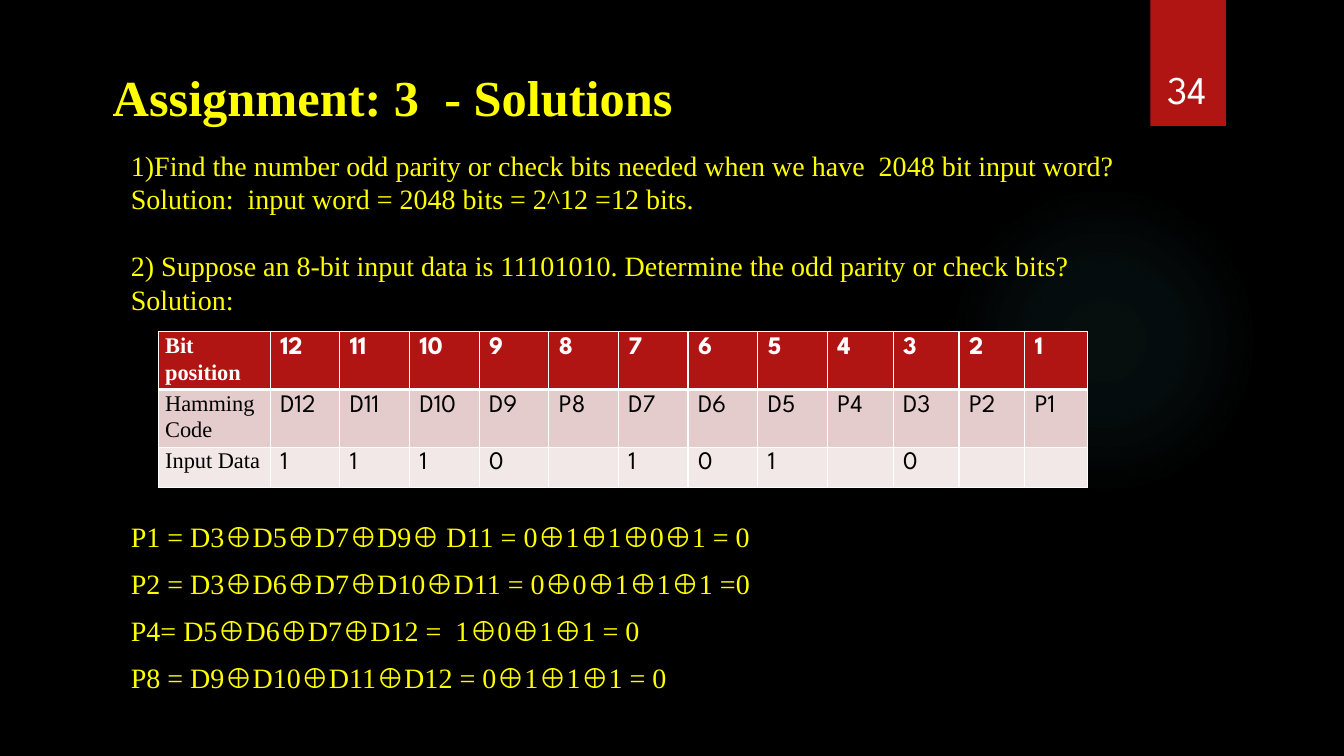
"""Builds the slide with the solutions to the parity bit assignment."""
import dataclasses

import pptx
import pptx.dml.color
import pptx.enum.shapes
import pptx.enum.text
import pptx.oxml
import pptx.oxml.ns
import pptx.util

Pt = pptx.util.Pt
ALIGN = pptx.enum.text.PP_ALIGN
ANCHOR = pptx.enum.text.MSO_ANCHOR
SHAPES = pptx.enum.shapes.MSO_SHAPE


@dataclasses.dataclass(frozen=True)
class Theme:
    """Colours, fonts and type sizes of the deck."""
    backdrop: str = "000000"
    accent: str = "B01513"
    glow: str = "50B9C1"
    bright: str = "FFFF00"
    light: str = "FFFFFF"
    dark: str = "000000"
    bands: tuple = ("B01513", "E4CCCC", "F2E8E7")
    serif: str = "Times New Roman"
    sans: str = "League Spartan"
    title: int = 36
    number: int = 28
    body: int = 20
    cell: int = 18
    label: int = 16


def rgb(value):
    """Turn a hex string into a colour."""
    return pptx.dml.color.RGBColor.from_string(value)


def set_values(target, values):
    """Set each named attribute on the target."""
    for name, value in values.items():
        setattr(target, name, value)


class SlideBuilder:
    """Holds the theme and the current page and draws elements on it."""

    def __init__(self, page, theme):
        """Keep the page and theme and paint the background."""
        self.page, self.theme = page, theme
        page.background.fill.solid()
        page.background.fill.fore_color.rgb = rgb(theme.backdrop)

    def shape(self, kind, place, color):
        """Draw a filled preset shape without an outline."""
        shape = self.page.shapes.add_shape(kind, *map(Pt, place))
        shape.shadow.inherit = False
        shape.line.fill.background()
        shape.fill.solid()
        shape.fill.fore_color.rgb = rgb(color)
        return shape

    def glow(self, place, stops):
        """Draw a circle that fades out from its centre."""
        circle = self.shape(SHAPES.OVAL, place, self.theme.glow)
        marks = "".join(
            f'<a:gs pos="{position * 1000}"><a:srgbClr val="{self.theme.glow}">'
            f'<a:alpha val="{alpha * 1000}"/></a:srgbClr></a:gs>'
            for position, alpha in stops)
        gradient = pptx.oxml.parse_xml(
            f'<a:gradFill {pptx.oxml.ns.nsdecls("a")}><a:gsLst>{marks}</a:gsLst>'
            '<a:path path="circle"><a:fillToRect l="50000" t="50000" r="50000" b="50000"/>'
            '</a:path></a:gradFill>')
        properties = circle.element.spPr
        solid = properties.find(pptx.oxml.ns.qn("a:solidFill"))
        properties.replace(solid, gradient)

    def span(self, para, text, font, size, color, bold=False, **layout):
        """Add one formatted span to a paragraph."""
        set_values(para, layout)
        span = para.add_run()
        span.text = text
        set_values(span.font, {"name": font, "size": Pt(size), "bold": bold})
        span.font.color.rgb = rgb(color)

    def text(self, place, lines, anchor=ANCHOR.TOP, **style):
        """Draw a text box from pairs of text and paragraph layout."""
        box = self.page.shapes.add_textbox(*map(Pt, place))
        frame = box.text_frame
        set_values(frame, {"word_wrap": True, "vertical_anchor": anchor})
        for index, (line, layout) in enumerate(lines):
            para = frame.add_paragraph() if index else frame.paragraphs[0]
            self.span(para, line, **style, **layout)

    def borders(self, cell, widths):
        """Give a cell light borders of the stated widths."""
        properties = cell._tc.get_or_add_tcPr()
        for index, (side, width) in enumerate(widths.items()):
            properties.insert(index, pptx.oxml.parse_xml(
                f'<a:ln{side} {pptx.oxml.ns.nsdecls("a")} w="{Pt(width)}"><a:solidFill>'
                f'<a:srgbClr val="{self.theme.light}"/></a:solidFill></a:ln{side}>'))

    def table(self, place, rows, widths, heights):
        """Draw a table with a header row and a label column."""
        theme = self.theme
        grid = self.page.shapes.add_table(len(rows), len(widths), *map(Pt, place)).table
        for column, width in zip(grid.columns, widths):
            column.width = Pt(width)
        for r, (row, height) in enumerate(zip(rows, heights)):
            grid.rows[r].height = Pt(height)
            header = r == 0
            color = theme.light if header else theme.dark
            for c, value in enumerate(row):
                cell = grid.cell(r, c)
                cell.fill.solid()
                cell.fill.fore_color.rgb = rgb(theme.bands[r])
                self.borders(cell, {"L": 1, "R": 1, "T": 3 if r == 1 else 1,
                                    "B": 3 if header else 1})
                font, size, layout = theme.sans, theme.cell, {}
                if c == 0:
                    font, size, layout = theme.serif, theme.label, {"line_spacing": 1.07}
                    set_values(cell, {"margin_left": Pt(5), "margin_right": Pt(5),
                                      "margin_top": 0, "margin_bottom": 0})
                for index, line in enumerate(value.split("\n") if value else []):
                    frame = cell.text_frame
                    para = frame.add_paragraph() if index else frame.paragraphs[0]
                    self.span(para, line, font, size, color, header, **layout)


def main():
    """Build the deck and save it."""
    theme = Theme()
    deck = pptx.Presentation()
    set_values(deck, {"slide_width": Pt(960), "slide_height": Pt(540)})
    builder = SlideBuilder(deck.slides.add_slide(deck.slide_layouts[6]), theme)

    builder.glow((677.5, 131.8, 221.8, 221.8), [(0, 7), (36, 6), (69, 0)])
    builder.shape(SHAPES.RECTANGLE, (821.7, 0, 54, 90), theme.accent)
    heading = {"line_spacing": Pt(43)}
    builder.text((73.4, 43.9, 762.5, 51), [("Assignment: 3  - Solutions", heading)],
                 font=theme.serif, size=theme.title, color=theme.bright, bold=True)

    question = {"alignment": ALIGN.JUSTIFY, "line_spacing": Pt(24)}
    formula = {"line_spacing": Pt(25.6), "space_after": Pt(8)}
    builder.text((86.4, 102.2, 717.8, 400.3), [
        ("1)Find the number odd parity or check bits needed when we have  2048 bit input word?",
         question),
        ("Solution:  input word = 2048 bits = 2^12 =12 bits.", question),
        ("2) Suppose an 8-bit input data is 11101010. Determine the odd parity or check bits?",
         question | {"space_before": Pt(24)}),
        ("Solution:", question),
        ("P1 = D3⊕D5⊕D7⊕D9⊕ D11 = 0⊕1⊕1⊕0⊕1 = 0", formula | {"space_before": Pt(144)}),
        ("P2 = D3⊕D6⊕D7⊕D10⊕D11 = 0⊕0⊕1⊕1⊕1 =0", formula),
        ("P4= D5⊕D6⊕D7⊕D12 =  1⊕0⊕1⊕1 = 0", formula),
        ("P8 = D9⊕D10⊕D11⊕D12 = 0⊕1⊕1⊕1 = 0", formula),
    ], font=theme.serif, size=theme.body, color=theme.bright)
    builder.text((815, 23, 66.2, 60.5), [("34", {"alignment": ALIGN.CENTER})], ANCHOR.BOTTOM,
                 font=theme.sans, size=theme.number, color=theme.light)

    positions = range(12, 0, -1)
    parity = (1, 2, 4, 8)
    data = iter("11101010")
    rows = [
        ["Bit\nposition", *map(str, positions)],
        ["Hamming Code", *(f"{'P' if p in parity else 'D'}{p}" for p in positions)],
        ["Input Data", *("" if p in parity else next(data) for p in positions)],
    ]
    widths = [80] + [49.75] * 8 + [47] * 3 + [44.7]
    builder.table((113, 237, sum(widths), 111.4), rows, widths, [41.2, 41.2, 29])
    deck.save("out.pptx")


if __name__ == "__main__":
    main()
